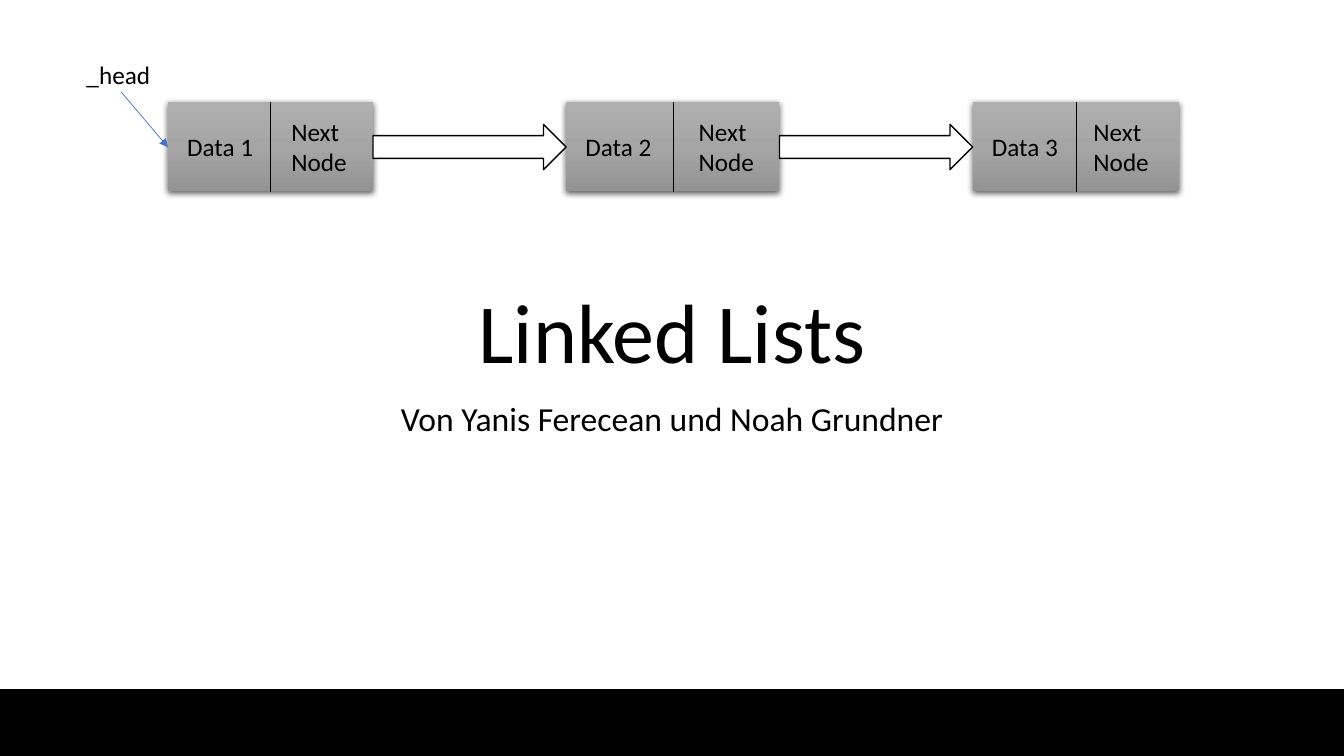
import copy

import pptx
import pptx.dml.color
import pptx.enum.shapes
import pptx.enum.text
import pptx.oxml
import pptx.oxml.ns
import pptx.util

SHAPE = pptx.enum.shapes.MSO_SHAPE
ALIGN = pptx.enum.text.PP_ALIGN
ANCHOR = pptx.enum.text.MSO_ANCHOR
qn = pptx.oxml.ns.qn


def rgb(value):
    return pptx.dml.color.RGBColor.from_string(value)


class Deck:
    COLS, ROWS = 80, 45
    FONT = "Calibri"
    BLACK, WHITE, BLUE = "000000", "FFFFFF", "4472C4"
    GREYS = ((0, "AFAFAF"), (0.5, "A5A5A5"), (1, "939393"))

    def __init__(self):
        self.prs = pptx.Presentation()
        self.prs.slide_width = pptx.util.Inches(13.33)
        self.prs.slide_height = pptx.util.Inches(7.5)
        self.s = self.prs.slides.add_slide(self.prs.slide_layouts[6])

    def x(self, col):
        return round(self.prs.slide_width * col / self.COLS)

    def y(self, row):
        return round(self.prs.slide_height * row / self.ROWS)

    def box(self, col, row, cols, rows):
        return self.x(col), self.y(row), self.x(cols), self.y(rows)

    def shape(self, kind, at, fill):
        sp = self.s.shapes.add_shape(kind, *self.box(*at))
        sp.shadow.inherit = False
        sp.fill.solid()
        sp.fill.fore_color.rgb = rgb(fill)
        sp.line.color.rgb = rgb(self.BLACK)
        sp.line.width = pptx.util.Pt(1)
        return sp

    def node(self, at):
        sp = self.shape(SHAPE.RECTANGLE, at, self.WHITE)
        sp.line.fill.background()
        sp.fill.gradient()
        sp.fill.gradient_angle = 270
        stops = sp._element.spPr.find(qn("a:gradFill")).find(qn("a:gsLst"))
        stops.insert(1, copy.deepcopy(stops[0]))
        for stop, (position, color) in zip(sp.fill.gradient_stops, self.GREYS):
            stop.position = position
            stop.color.rgb = rgb(color)
        effects = sp._element.spPr.find(qn("a:effectLst"))
        effects.append(pptx.oxml.parse_xml(
            f'<a:outerShdw {pptx.oxml.ns.nsdecls("a")} blurRad="57150" dist="19050" '
            'dir="5400000" algn="ctr" rotWithShape="0">'
            f'<a:srgbClr val="{self.BLACK}"><a:alpha val="63000"/></a:srgbClr>'
            '</a:outerShdw>'))

    def line(self, start, end, color, arrow=False):
        cxn = self.s.shapes.add_connector(
            pptx.enum.shapes.MSO_CONNECTOR.STRAIGHT,
            self.x(start[0]), self.y(start[1]), self.x(end[0]), self.y(end[1]))
        cxn.line.color.rgb = rgb(color)
        cxn.line.width = pptx.util.Pt(0.5)
        if arrow:
            tail = pptx.oxml.parse_xml(
                f'<a:tailEnd {pptx.oxml.ns.nsdecls("a")} type="triangle"/>')
            cxn.line._get_or_add_ln().append(tail)
        cxn._element.spPr.append(pptx.oxml.parse_xml(
            f'<a:effectLst {pptx.oxml.ns.nsdecls("a")}/>'))

    def text(self, at, words, size=18, align=ALIGN.LEFT, anchor=ANCHOR.TOP,
             spacing=1.0, before=0):
        tf = self.s.shapes.add_textbox(*self.box(*at)).text_frame
        tf.word_wrap = True
        tf.vertical_anchor = anchor
        p = tf.paragraphs[0]
        p.alignment = align
        p.line_spacing = spacing
        p.space_before = pptx.util.Pt(before)
        r = p.add_run()
        r.text = words
        r.font.name = self.FONT
        r.font.size = pptx.util.Pt(size)
        r.font.color.rgb = rgb(self.BLACK)


def main():
    deck = Deck()
    top, height = 6.06, 5.34
    nodes = ((10, 12.2, 16.75), (33.7, 12.7, 41), (57.9, 12.3, 64.5))

    deck.shape(SHAPE.RECTANGLE, (0, 41.04, 80, 3.96), deck.BLACK)
    deck.text((10, 7.38, 60, 15.66), "Linked Lists", 60, ALIGN.CENTER,
              ANCHOR.BOTTOM, 0.9)
    deck.text((10, 23.64, 60, 10.86), "Von Yanis Ferecean und Noah Grundner", 24,
              ALIGN.CENTER, spacing=0.9, before=10)

    for i, (left, width, next_left) in enumerate(nodes):
        divider = 16.1 + 24 * i
        deck.node((left, top, width, height))
        deck.line((divider, top), (divider, top + height), deck.BLACK)
        deck.text((left + 0.55, 7.52, 6, 2.4), f"Data {i + 1}")
        deck.text((next_left, 6.6, 4.9, 4.26), "Next Node")

    for (left, width, _), (target, _, _) in zip(nodes, nodes[1:]):
        start = left + width
        deck.shape(SHAPE.RIGHT_ARROW, (start, 7.4, target - start, 2.7), deck.WHITE)

    deck.text((4.56, 3.24, 9.12, 2.4), "_head")
    deck.line((7.2, 5.46), (10, 8.76), deck.BLUE, arrow=True)
    deck.prs.save("out.pptx")


if __name__ == "__main__":
    main()
